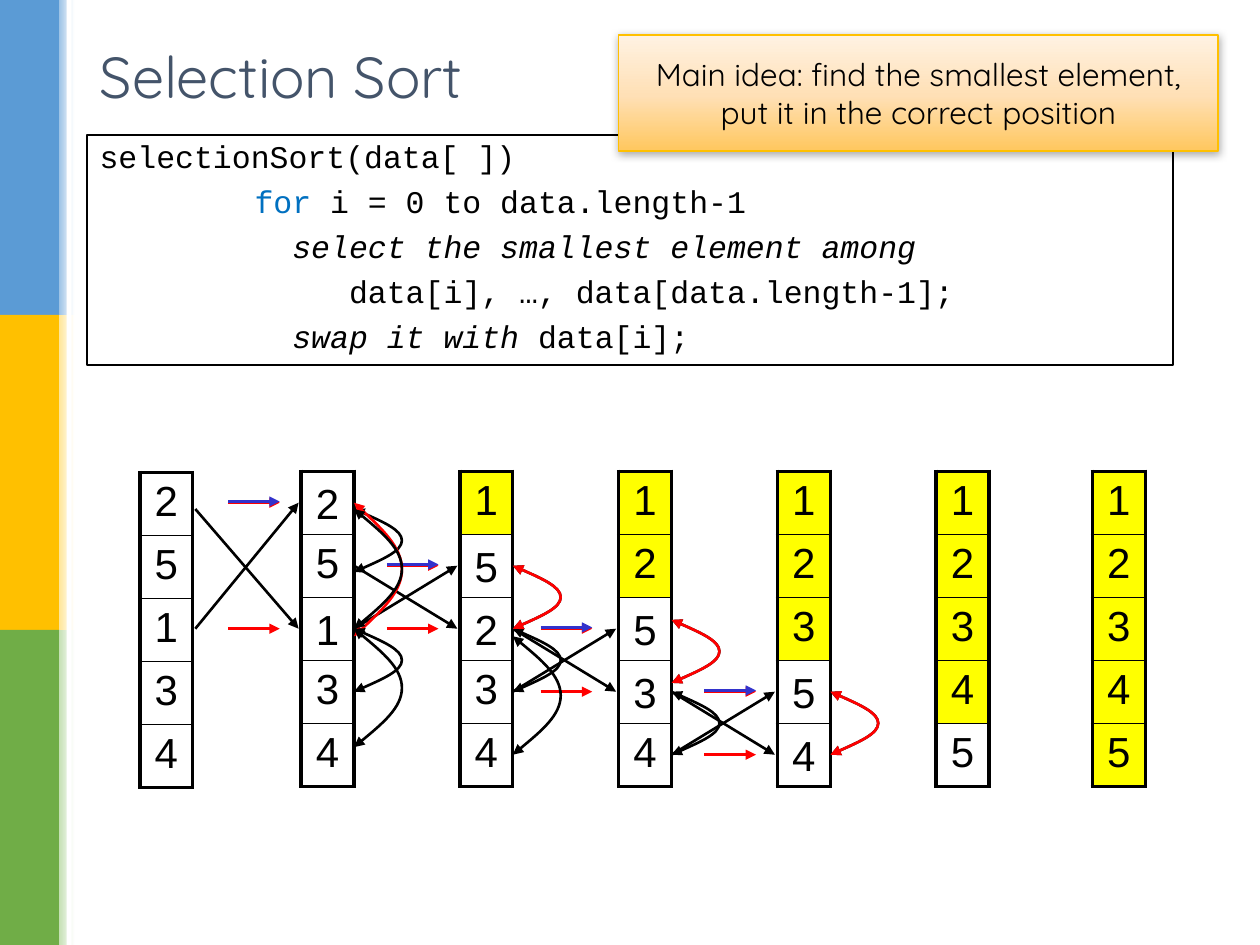
from dataclasses import dataclass

from lxml import etree
from pptx import Presentation
from pptx.dml.color import RGBColor
from pptx.enum.shapes import MSO_CONNECTOR, MSO_SHAPE
from pptx.enum.text import MSO_ANCHOR, MSO_AUTO_SIZE, PP_ALIGN
from pptx.oxml.ns import qn
from pptx.util import Inches, Pt

STRAIGHT = MSO_CONNECTOR.STRAIGHT
RECTANGLE = MSO_SHAPE.RECTANGLE
TOP, MIDDLE = MSO_ANCHOR.TOP, MSO_ANCHOR.MIDDLE
LEFT, CENTER = PP_ALIGN.LEFT, PP_ALIGN.CENTER
NO_FIT = MSO_AUTO_SIZE.NONE

WIDTH, HEIGHT = 10, 7.5
BLACK, WHITE, RED, BLUE, YELLOW = "000000", "FFFFFF", "FF0000", "3333CC", "FFFF00"
ROW, STEP, CELL_WIDTH = 0.5, 1.26, 0.42
ARRAY_TOP = 3.74
DIAGONAL_LEFT, ARC_LEFT = 1.55, 2.81


@dataclass
class Array:
    left: float
    values: str
    done: int = 0
    loose: tuple = ()
    top: float = ARRAY_TOP


@dataclass
class Swap:
    arrow_left: float
    first: int
    second: int
    start: float


@dataclass
class Arc:
    step: int
    start: float
    end: float
    color: str = BLACK


@dataclass
class CodeLine:
    indent: float
    spans: tuple


ARRAYS = [
    Array(1.11, "25134", top=3.75),
    Array(2.39, "25134", loose=(0, 2)),
    Array(3.65, "15234", 1, (1, 2)),
    Array(4.91, "12534", 2, (2, 3)),
    Array(6.17, "12354", 3, (3, 4)),
    Array(7.43, "12345", 4),
    Array(8.67, "12345", 5),
]
SWAPS = [Swap(1.81, 0, 2, 0.1), Swap(3.07, 1, 2, 1), Swap(4.29, 2, 3, 2), Swap(5.59, 3, 4, 3)]
ARCS = [
    Arc(0, 0.1, 1.1), Arc(0, 0, 2.12, RED), Arc(0, 0.1, 2), Arc(0, 2, 3), Arc(0, 2, 3.88),
    Arc(1, 1, 2), Arc(1, 2, 3), Arc(1, 2.12, 4), Arc(1, 1, 2, RED),
    Arc(2, 1.86, 2.86), Arc(2, 3, 4), Arc(2, 1.86, 2.86, RED),
    Arc(3, 3, 4), Arc(3, 3, 4, RED),
]
CODE = [
    CodeLine(0, (("selectionSort(data[ ])", BLACK, False),)),
    CodeLine(1.23, (("for ", "0070C0", False), ("i = 0 to data.length-1", BLACK, False))),
    CodeLine(1.53, (("select the smallest element among", BLACK, True),)),
    CodeLine(1.98, (("data[i], …, data[data.length-1];", BLACK, False),)),
    CodeLine(1.53, (("swap it with ", BLACK, True), ("data[i];", BLACK, False))),
]
BARS = [("5B9BD5", "9DC3E6"), ("FFC000", "FFE699"), ("70AD47", "C5E0B4")]


def rgb(value: str) -> RGBColor:
    return RGBColor.from_string(value)


def row_middle(row: float) -> float:
    return ARRAY_TOP + (row + 0.5) * ROW


def style_span(span, font: str, size: float, color: str, italic: bool = False) -> None:
    span.font.name, span.font.size, span.font.italic = font, Pt(size), italic
    span.font.color.rgb = rgb(color)


def write(frame, text: str, font: str, size: float, color: str, align, anchor) -> None:
    frame.text = text
    frame.word_wrap = True
    frame.vertical_anchor = anchor
    para = frame.paragraphs[0]
    para.alignment = align
    style_span(para.runs[0], font, size, color)


def place(shape, left: float, top: float, width: float, height: float) -> None:
    shape.left, shape.top = Inches(left), Inches(top)
    shape.width, shape.height = Inches(width), Inches(height)


def add_box(page, left: float, top: float, width: float, height: float, color: str = WHITE):
    box = page.shapes.add_shape(RECTANGLE, *map(Inches, (left, top, width, height)))
    box.shadow.inherit = False
    box.line.fill.background()
    box.fill.solid()
    box.fill.fore_color.rgb = rgb(color)
    return box


def set_gradient(box, stops: list, angle: float) -> None:
    box.fill.gradient()
    box.fill.gradient_angle = angle
    holder = box.element.spPr.find(".//" + qn("a:gsLst"))
    for old in list(holder):
        holder.remove(old)
    for share, color in stops:
        stop = etree.SubElement(holder, qn("a:gs"), pos=str(share * 1000))
        etree.SubElement(stop, qn("a:srgbClr"), val=color)


def set_line(shape, color: str, *ends: str) -> None:
    shape.line.color.rgb = rgb(color)
    shape.line.width = Pt(1.5)
    outline = shape.element.spPr.find(qn("a:ln"))
    for end in ends:
        etree.SubElement(outline, qn(end), type="triangle")


def add_arrow(page, left: float, top: float, right: float, bottom: float, color: str) -> None:
    arrow = page.shapes.add_connector(STRAIGHT, *map(Inches, (left, top, right, bottom)))
    set_line(arrow, color, "a:tailEnd")
    etree.SubElement(arrow.element.spPr, qn("a:effectLst"))


def add_arc(page, arc: Arc) -> None:
    left, top = ARC_LEFT + arc.step * STEP, row_middle(arc.start)
    depth, height = 0.38, (arc.end - arc.start) * ROW
    shares = [(0, 0), (1 / 2, 1 / 6), (1, 1 / 3), (1, 1 / 2), (1, 2 / 3), (1 / 2, 5 / 6), (0, 1)]
    points = [(Inches(left + x * depth), Inches(top + y * height)) for x, y in shares]
    builder = page.shapes.build_freeform(*points[0])
    builder.add_line_segments(points[1:], close=False)
    shape = builder.convert_to_shape()
    outline = shape.element.spPr.find(".//" + qn("a:path"))
    segments = outline.findall(qn("a:lnTo"))
    for half in (segments[:3], segments[3:]):
        curve = etree.SubElement(outline, qn("a:cubicBezTo"))
        for segment in half:
            curve.append(segment[0])
            outline.remove(segment)
    shape.fill.background()
    shape.shadow.inherit = False
    set_line(shape, arc.color, "a:headEnd", "a:tailEnd")


def set_border(cell, side: str, points: float) -> None:
    properties = cell._tc.get_or_add_tcPr()
    edge = etree.SubElement(properties, qn("a:ln" + side), w=str(Pt(points)))
    fill = etree.SubElement(edge, qn("a:solidFill"))
    etree.SubElement(fill, qn("a:srgbClr"), val=BLACK)


def add_array(page, array: Array) -> None:
    count = len(array.values)
    frame = page.shapes.add_table(count, 1, *map(Inches, (array.left, array.top, CELL_WIDTH, count * ROW)))
    table = frame.table
    table.first_row = table.horz_banding = False
    for index, value in enumerate(array.values):
        cell = table.cell(index, 0)
        thick_top, thick_bottom = index == 0, index == count - 1
        for side, thick in (("L", True), ("R", True), ("T", thick_top), ("B", thick_bottom)):
            set_border(cell, side, 2.25 if thick else 1)
        if index < array.done:
            cell.fill.solid()
            cell.fill.fore_color.rgb = rgb(YELLOW)
        else:
            cell.fill.background()
        target = cell.text_frame
        if index in array.loose:
            spot = (array.left, array.top + index * ROW, CELL_WIDTH, ROW)
            target = page.shapes.add_textbox(*map(Inches, spot)).text_frame
        write(target, value, "Arial", 24, BLACK, CENTER, TOP)


def add_code(body) -> None:
    place(body, 0.69, 1.07, 8.62, 1.83)
    body.line.color.rgb = rgb(BLACK)
    body.line.width = Pt(1)
    frame = body.text_frame
    frame.auto_size = NO_FIT
    frame.text = "\n".join("".join(text for text, *_ in line.spans) for line in CODE)
    for para, line in zip(frame.paragraphs, CODE):
        para.line_spacing, para.space_before = 0.9, Pt(6.3)
        properties = para._p.get_or_add_pPr()
        properties.set("marL", str(Inches(line.indent)))
        properties.set("indent", "0")
        etree.SubElement(properties, qn("a:buNone"))
        para.runs[0].text = line.spans[0][0]
        for text, *_ in line.spans[1:]:
            para.add_run().text = text
        for span, (_, color, italic) in zip(para.runs, line.spans):
            style_span(span, "Courier New", 18, color, italic)


def add_idea(page) -> None:
    box = add_box(page, 4.91, 0.28, 4.76, 0.92)
    set_gradient(box, [(0, "FFC75E"), (48, "FFE0B6"), (100, "FFF2E2")], 90)
    set_line(box, "FFC000")
    box.line.width = Pt(1)
    effects = box.element.spPr.find(qn("a:effectLst"))
    shadow = etree.SubElement(effects, qn("a:outerShdw"), blurRad=str(Pt(5)), dist=str(Pt(1)), dir="5400000")
    tint = etree.SubElement(shadow, qn("a:srgbClr"), val=BLACK)
    etree.SubElement(tint, qn("a:alpha"), val="32000")
    idea = "Main idea: find the smallest element, put it in the correct position"
    write(box.text_frame, idea, "Quicksand", 18, BLACK, CENTER, MIDDLE)


def main() -> None:
    deck = Presentation()
    deck.slide_width, deck.slide_height = Inches(WIDTH), Inches(HEIGHT)
    page = deck.slides.add_slide(deck.slide_layouts[1])
    bar_height = HEIGHT / len(BARS)
    for index, (color, tint) in enumerate(BARS):
        add_box(page, 0, index * bar_height, 0.47, bar_height, color)
        fade = add_box(page, 0.47, index * bar_height, 0.12, bar_height)
        set_gradient(fade, [(0, tint), (100, WHITE)], 0)
    add_box(page, 0.53, 0, 0.04, HEIGHT)
    title = page.shapes.title
    place(title, 0.69, 0.24, 8.62, 0.71)
    write(title.text_frame, "Selection Sort", "Quicksand", 33, "44546A", LEFT, MIDDLE)
    add_code(page.placeholders[1])
    for array in ARRAYS:
        add_array(page, array)
    for step, swap in enumerate(SWAPS):
        first, second = row_middle(swap.first), row_middle(swap.second)
        for height, color in ((first, RED), (second, RED), (first - 0.01, BLUE)):
            add_arrow(page, swap.arrow_left, height, swap.arrow_left + 0.41, height, color)
        left = DIAGONAL_LEFT + step * STEP
        add_arrow(page, left, row_middle(swap.start), left + 0.82, second, BLACK)
        add_arrow(page, left, second, left + 0.82, first, BLACK)
    for arc in ARCS:
        add_arc(page, arc)
    add_idea(page)
    deck.save("out.pptx")


if __name__ == "__main__":
    main()
